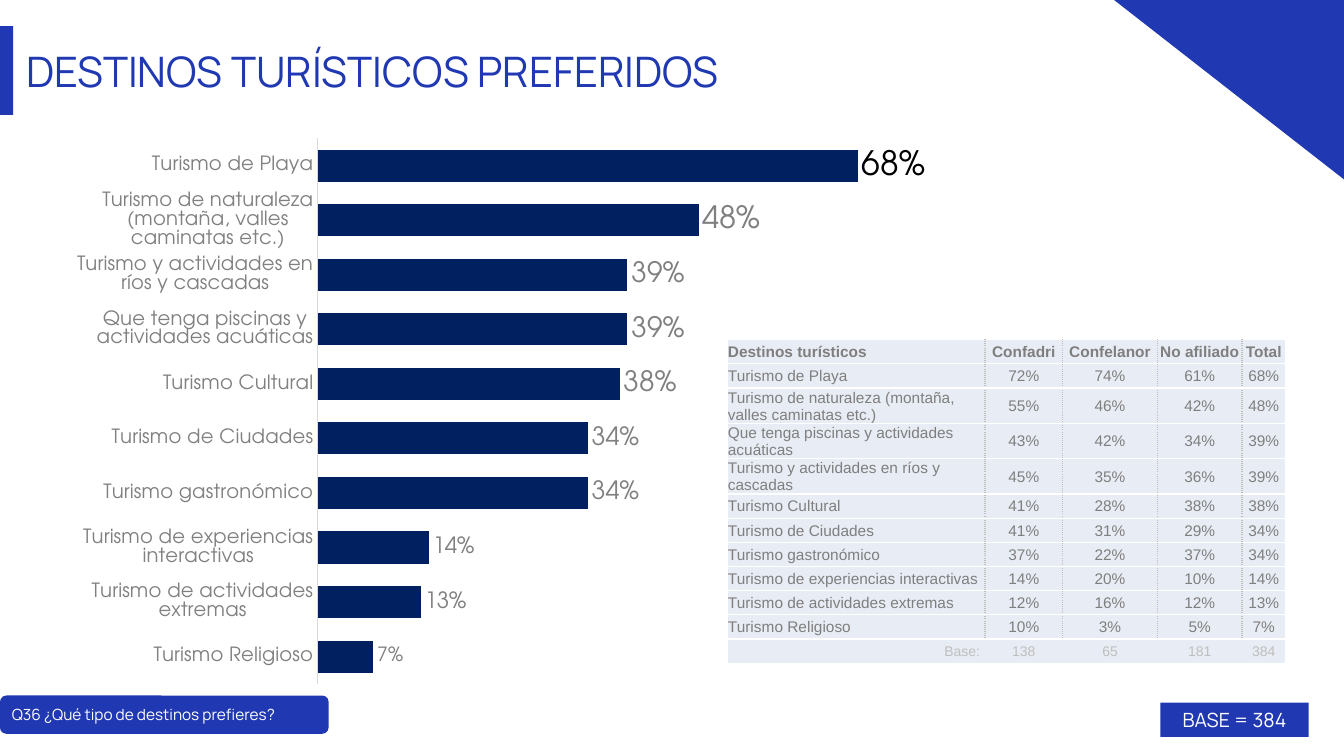
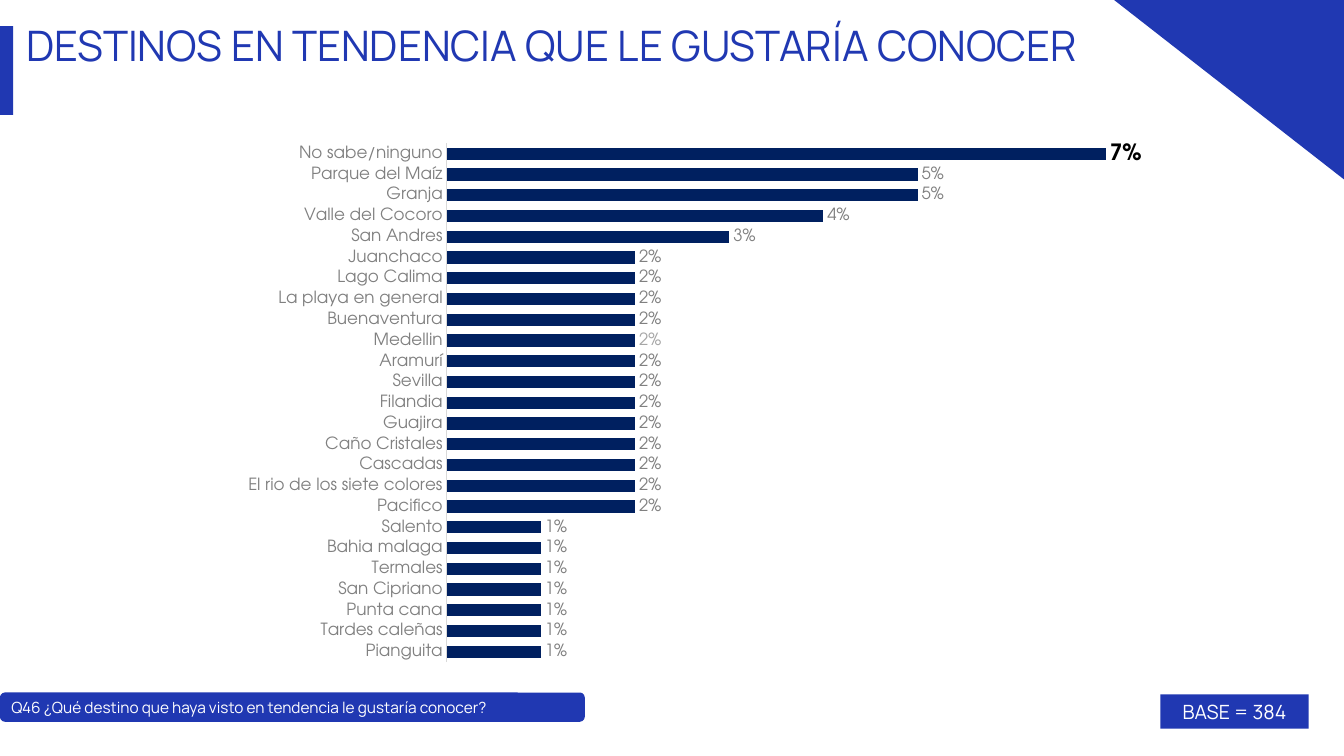
from dataclasses import dataclass

from pptx import Presentation
from pptx.chart.data import CategoryChartData
from pptx.dml.color import RGBColor
from pptx.enum.chart import (XL_CHART_TYPE, XL_LABEL_POSITION,
                             XL_TICK_LABEL_POSITION, XL_TICK_MARK)
from pptx.enum.shapes import MSO_SHAPE
from pptx.enum.text import MSO_ANCHOR, PP_ALIGN
from pptx.oxml import parse_xml
from pptx.oxml.ns import nsdecls, qn
from pptx.util import Inches, Pt


@dataclass(frozen=True)
class Theme:
    blue: str = "2038B2"
    navy: str = "002060"
    white: str = "FFFFFF"
    black: str = "000000"
    gray: str = "808080"
    cell: str = "E8ECF4"
    ink: str = "7F7F7F"
    pale: str = "BFBFBF"
    faint: str = "A6A6A6"
    rule: str = "D9D9D9"
    head: str = "Manrope"
    plot: str = "TeX Gyre Adventor"
    body: str = "Arial"
    title: int = 30
    base: int = 14
    note: int = 11
    grid: int = 11
    foot: int = 10


THEME = Theme()

# Point styles: row number -> (size, colour, bold)
TYPES = {
    "title": "DESTINOS TURÍSTICOS PREFERIDOS",
    "title_box": (0.25, 0.44, 10.64, 0.52),
    "note": "Q36 ¿Qué tipo de destinos prefieres?",
    "note_box": (0, 6.9, 3.26, 0.38),
    "base_top": 6.97,
    "chart_box": (0.57, 1.16, 9.18, 5.91),
    "plot": (0.281, 0.036, 0.687, 0.916),
    "sizes": (14, 18),
    "top": 0.8,
    "reverse": False,
    "bars": [
        ("Turismo Religioso", 0.07),
        ("Turismo de actividades extremas", 0.13),
        ("Turismo de experiencias interactivas", 0.14),
        ("Turismo gastronómico", 0.34),
        ("Turismo de Ciudades", 0.34),
        ("Turismo Cultural", 0.38),
        ("Que tenga piscinas y actividades acuáticas", 0.39),
        ("Turismo y actividades en ríos y cascadas", 0.39),
        ("Turismo de naturaleza (montaña, valles caminatas etc.)", 0.48),
        ("Turismo de Playa", 0.68),
    ],
    "points": {
        0: (14, THEME.gray, False), 1: (16, THEME.gray, False),
        2: (16, THEME.gray, False), 5: (20, THEME.gray, False),
        6: (20, THEME.gray, False), 7: (20, THEME.gray, False),
        8: (22, THEME.gray, False), 9: (24, THEME.black, False),
    },
}

TRENDS = {
    "title": "DESTINOS EN TENDENCIA QUE LE GUSTARÍA CONOCER",
    "title_box": (0.25, 0.18, 10.64, 1.02),
    "note": "Q46 ¿Qué destino que haya visto en tendencia le gustaría conocer?",
    "note_box": (0, 6.87, 5.8, 0.29),
    "base_top": 6.89,
    "chart_box": (0.93, 1.22, 11.48, 5.62),
    "plot": (0.305, 0.036, 0.651, 0.916),
    "sizes": (12, 12),
    "top": 0.08,
    "reverse": True,
    "bars": [
        ("No sabe/ninguno", 0.07), ("Parque del Maíz", 0.05),
        ("Granja", 0.05), ("Valle del Cocoro", 0.04),
        ("San Andres", 0.03), ("Juanchaco", 0.02),
        ("Lago Calima", 0.02), ("La playa en general", 0.02),
        ("Buenaventura", 0.02), ("Medellin", 0.02),
        ("Aramurí", 0.02), ("Sevilla", 0.02),
        ("Filandia", 0.02), ("Guajira", 0.02),
        ("Caño Cristales", 0.02), ("Cascadas", 0.02),
        ("El rio de los siete colores", 0.02), ("Pacifico", 0.02),
        ("Salento", 0.01), ("Bahia malaga", 0.01),
        ("Termales", 0.01), ("San Cipriano", 0.01),
        ("Punta cana", 0.01), ("Tardes caleñas", 0.01),
        ("Pianguita", 0.01),
    ],
    "points": {0: (16, THEME.black, True), 9: (12, THEME.faint, False)},
}

BASE = "BASE = 384"
HEADS = ("Destinos turísticos", "Confadri", "Confelanor", "No afiliado", "Total")
SHARES = [
    ("Turismo de Playa", 72, 74, 61, 68),
    ("Turismo de naturaleza (montaña, valles caminatas etc.)", 55, 46, 42, 48),
    ("Que tenga piscinas y actividades acuáticas", 43, 42, 34, 39),
    ("Turismo y actividades en ríos y cascadas", 45, 35, 36, 39),
    ("Turismo Cultural", 41, 28, 38, 38),
    ("Turismo de Ciudades", 41, 31, 29, 34),
    ("Turismo gastronómico", 37, 22, 37, 34),
    ("Turismo de experiencias interactivas", 14, 20, 10, 14),
    ("Turismo de actividades extremas", 12, 16, 12, 13),
    ("Turismo Religioso", 10, 3, 5, 7),
]
COUNTS = ("Base:", "138", "65", "181", "384")
WIDTHS = (2.56, 0.77, 0.94, 0.84, 0.43)
ROW, TALL, WRAP = 0.24, 0.35, 38


def rgb(code):
    return RGBColor.from_string(code)


def style(font, name, size, color, bold=False):
    font.name, font.size, font.bold = name, Pt(size), bold
    font.color.rgb = rgb(color)


def place(box):
    return [Inches(n) for n in box]


def write(frame, text, size, color, align=PP_ALIGN.LEFT,
          insets=(0.1, 0.05, 0.1, 0.05), anchor=MSO_ANCHOR.MIDDLE):
    frame.word_wrap = True
    frame.vertical_anchor = anchor
    (frame.margin_left, frame.margin_top,
     frame.margin_right, frame.margin_bottom) = place(insets)
    frame.text = text
    para = frame.paragraphs[0]
    para.alignment = align
    style(para.runs[0].font, THEME.head, size, color)


def paint(shape):
    shape.shadow.inherit = False
    shape.fill.solid()
    shape.fill.fore_color.rgb = rgb(THEME.blue)
    shape.line.fill.background()
    return shape


def add_block(slide, kind, box):
    return paint(slide.shapes.add_shape(kind, *place(box)))


def add_frame(slide, page):
    """Draw the note, corner, side band, title and base."""
    note = add_block(slide, MSO_SHAPE.ROUNDED_RECTANGLE, page["note_box"])
    write(note.text_frame, page["note"], THEME.note, THEME.white)
    pen = slide.shapes.build_freeform(Inches(13.33), 0)
    pen.add_line_segments([(Inches(11.05), 0), (Inches(13.33), Inches(1.78))])
    paint(pen.convert_to_shape())
    add_block(slide, MSO_SHAPE.RECTANGLE, (0, 0.26, 0.13, 0.88))
    title = slide.shapes.add_textbox(*place(page["title_box"]))
    write(title.text_frame, page["title"], THEME.title, THEME.blue,
          insets=(0.01, 0.01, 0, 0), anchor=MSO_ANCHOR.TOP)
    base = add_block(slide, MSO_SHAPE.RECTANGLE,
                     (11.51, page["base_top"], 1.47, 0.34))
    write(base.text_frame, BASE, THEME.base, THEME.white, PP_ALIGN.CENTER)


def set_plot(chart, box):
    """Fix the inner plot area as fractions of the chart."""
    area = chart._chartSpace.find(".//" + qn("c:plotArea"))
    for old in area.findall(qn("c:layout")):
        area.remove(old)
    modes = "".join(f'<c:{n}Mode val="edge"/>' for n in "xy")
    sides = "".join(f'<c:{n} val="{v}"/>' for n, v in zip("xywh", box))
    area.insert(0, parse_xml(
        f'<c:layout {nsdecls("c")}><c:manualLayout>'
        f'<c:layoutTarget val="inner"/>{modes}{sides}'
        '</c:manualLayout></c:layout>'))


def add_bars(slide, page):
    names, values = zip(*page["bars"])
    data = CategoryChartData(number_format="0%")
    data.categories = names
    data.add_series("Series 1", values)
    chart = slide.shapes.add_chart(
        XL_CHART_TYPE.BAR_CLUSTERED, *place(page["chart_box"]), data).chart
    chart.has_legend = chart.has_title = False
    style(chart.font, THEME.body, THEME.foot, THEME.black)
    set_plot(chart, page["plot"])
    name_size, label_size = page["sizes"]

    names_axis, scale = chart.category_axis, chart.value_axis
    for axis in (names_axis, scale):
        axis.major_tick_mark = axis.minor_tick_mark = XL_TICK_MARK.NONE
        axis.has_major_gridlines = False
    names_axis.reverse_order = page["reverse"]
    style(names_axis.tick_labels.font, THEME.plot, name_size, THEME.gray)
    names_axis.format.line.color.rgb = rgb(THEME.rule)
    names_axis.format.line.width = Pt(0.75)
    scale.minimum_scale, scale.maximum_scale = 0, page["top"]
    scale.tick_label_position = XL_TICK_LABEL_POSITION.NONE
    scale.format.line.fill.background()

    plot = chart.plots[0]
    plot.gap_width, plot.vary_by_categories = 70, False
    bars = plot.series[0]
    bars.format.fill.solid()
    bars.format.fill.fore_color.rgb = rgb(THEME.navy)
    labels = bars.data_labels
    labels.show_value = True
    labels.number_format, labels.number_format_is_linked = "0%", False
    labels.position = XL_LABEL_POSITION.OUTSIDE_END
    style(labels.font, THEME.plot, label_size, THEME.gray)
    for row, (size, color, bold) in page["points"].items():
        label = bars.points[row].data_label
        style(label.font, THEME.plot, size, color, bold)
        label.position = XL_LABEL_POSITION.OUTSIDE_END


def add_edge(cell, side, color=None, dash="solid"):
    ink = (f'<a:solidFill><a:srgbClr val="{color}"/></a:solidFill>'
           f'<a:prstDash val="{dash}"/>' if color else "<a:noFill/>")
    cell._tc.get_or_add_tcPr().append(parse_xml(
        f'<a:ln{side} {nsdecls("a")} w="12700">{ink}</a:ln{side}>'))


def fill_cell(cell, text, first, last, head, foot):
    for side, outer in (("L", first), ("R", last)):
        if outer:
            add_edge(cell, side, THEME.white)
        elif foot:
            add_edge(cell, side)
        else:
            add_edge(cell, side, THEME.pale, "sysDot")
    for side in "TB":
        add_edge(cell, side, THEME.white)
    cell.fill.solid()
    cell.fill.fore_color.rgb = rgb(THEME.cell)
    cell.vertical_anchor = MSO_ANCHOR.MIDDLE
    cell.margin_left = cell.margin_top = Inches(0.01)
    cell.margin_right = Inches(0.05 if first and foot else 0.01)
    cell.margin_bottom = 0
    cell.text_frame.text = text
    para = cell.text_frame.paragraphs[0]
    edge = PP_ALIGN.RIGHT if foot else PP_ALIGN.LEFT
    para.alignment = edge if first else PP_ALIGN.CENTER
    size, color = ((THEME.foot, THEME.pale) if foot
                   else (THEME.grid, THEME.ink))
    style(para.runs[0].font, THEME.body, size, color, head)


def add_grid(slide):
    rows = [HEADS, *((name, *(f"{n}%" for n in nums))
                     for name, *nums in SHARES), COUNTS]
    highs = [TALL if len(row[0]) > WRAP else ROW for row in rows]
    table = slide.shapes.add_table(
        len(rows), len(HEADS),
        *place((7.21, 3.37, sum(WIDTHS), sum(highs)))).table
    table.first_row = table.horz_banding = False
    for col, wide in zip(table.columns, WIDTHS):
        col.width = Inches(wide)
    for r, (row, high) in enumerate(zip(rows, highs)):
        table.rows[r].height = Inches(high)
        for c, text in enumerate(row):
            fill_cell(table.cell(r, c), text, c == 0, c == len(row) - 1,
                      r == 0, r == len(rows) - 1)


def main():
    deck = Presentation()
    deck.slide_width, deck.slide_height = Inches(13.33), Inches(7.5)
    for page in (TYPES, TRENDS):
        slide = deck.slides.add_slide(deck.slide_layouts[6])
        add_bars(slide, page)
        if page is TYPES:
            add_grid(slide)
        add_frame(slide, page)
    deck.save("out.pptx")


if __name__ == "__main__":
    main()
